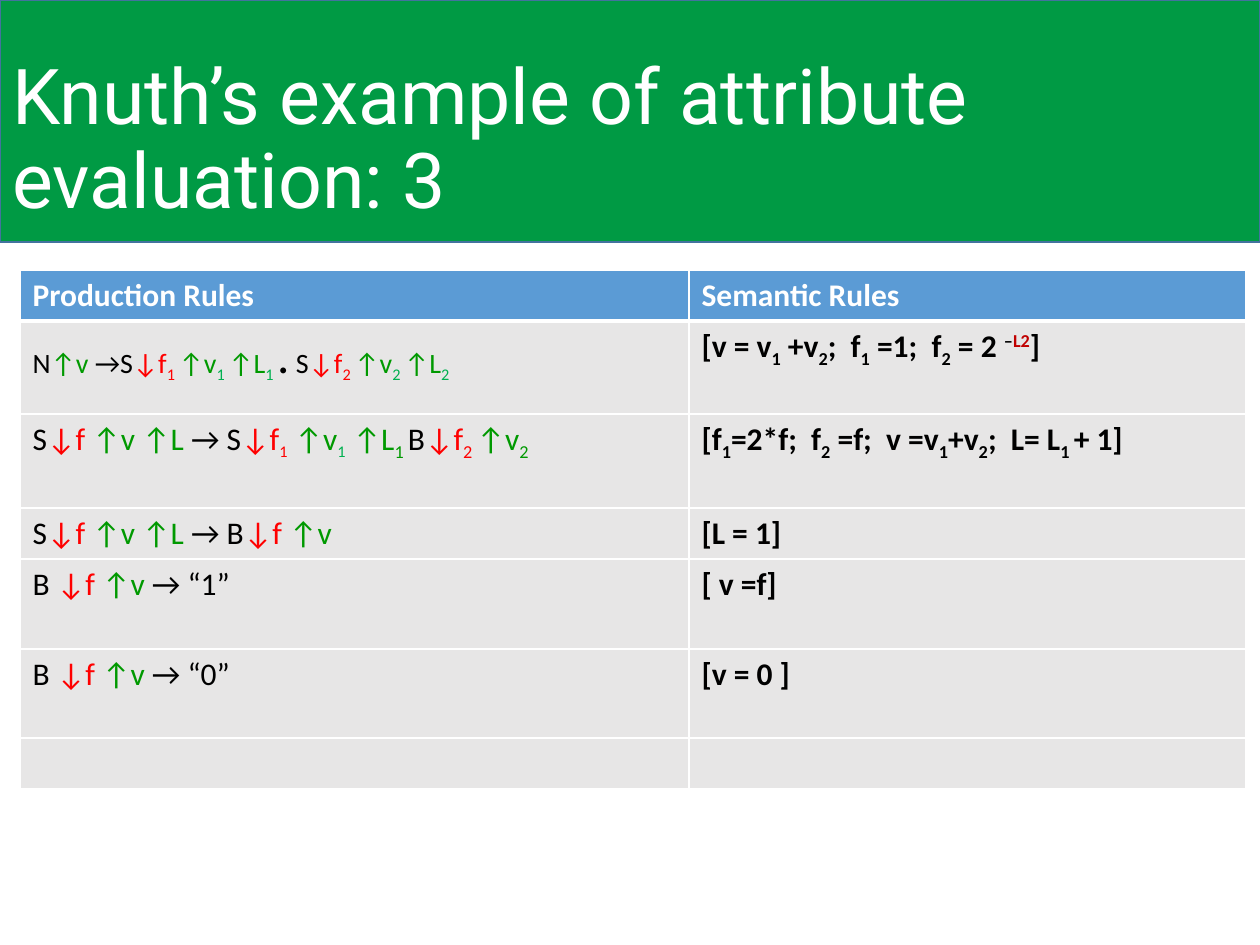
import pptx
import pptx.util
import pptx.dml.color
import pptx.enum.shapes
import pptx.enum.text
import pptx.oxml

TITLE = "Knuth’s example of attribute evaluation: 3"
HEADS = ("Production Rules", "Semantic Rules")
ROWS = [
    ("small",
     "k:N|g:↑v|k: →S|r:↓f|r_:1 |g:↑v|e_:1 |g:↑L|e_:1 |kx:.|g: |k:S|r:↓f|r_:2 |g:↑v|e_:2 |g:↑L|e_:2",
     "k:[v = v|k_:1|k: +v|k_:2|k:;  f|k_:1|k: =1;  f|k_:2|k: = 2 |k^:–|c^:L2|k:]"),
    ("body",
     "k:S|r:↓f |g:↑v ↑L |k:→ S|r:↓f|rs_:1|r: |g:↑v|es_:1|k: |g:↑L|g_:1 |k:B|r:↓f|r_:2 |g:↑v|g_:2",
     "k:[f|k_:1|k:=2*f;  f|k_:2|k: =f;  v =v|k_:1|k:+v|k_:2|k:;  L= L|k_:1 |k:+ 1]"),
    ("body", "k:S|r:↓f |g:↑v ↑L |k:→ B|r:↓f |g:↑v", "k:[L = 1]"),
    ("body", "k:B|r: ↓f |g:↑v |k:→ “1”", "k:[ v =f]"),
    ("body", "k:B|r: ↓f |g:↑v |k:→ “0”", "k:[v = 0 ]"),
    ("body", "", ""),
]
COLS = (669, 557)
HIGHS = (51, 93, 94, 51, 90, 89, 51)
THEME = {
    "k": "000000", "g": "009900", "r": "FF0000", "e": "00B050", "c": "C00000",
    "white": "FFFFFF", "banner": "009A44", "edge": "43739E",
    "head": "5B9BD5", "cell": "E7E6E6",
    "title": 44, "body": 18, "small": 16, "dot": 28,
    "font": "Calibri", "face": "Roboto",
}
SIZES = {"s": "small", "x": "dot"}
SHIFTS = {"_": "-25000", "^": "30000"}


def px(n):
    return pptx.util.Emu(round(n * 914400 / 126))


def color(key):
    return pptx.dml.color.RGBColor.from_string(THEME[key])


def style(font, size, face="font", tint=None, bold=False):
    font.size = pptx.util.Pt(THEME[size])
    font.name = THEME[face]
    font.bold = bold
    if tint:
        font.color.rgb = color(tint)


def write(para, text):
    for part in filter(None, text.split("|")):
        code, _, words = part.partition(":")
        run = para.add_run()
        run.text = words
        run.font.color.rgb = color(code[0])
        for mark in code[1:]:
            if mark in SIZES:
                run.font.size = pptx.util.Pt(THEME[SIZES[mark]])
            else:
                run.font._element.set("baseline", SHIFTS[mark])


def border(cell, base):
    props = cell._tc.get_or_add_tcPr()
    for spot, side in enumerate("LRTB"):
        width = pptx.util.Pt(base if side == "B" else 1)
        props.insert(spot, pptx.oxml.parse_xml(
            '<a:ln%s xmlns:a="http://schemas.openxmlformats.org/drawingml/2006/main" w="%d">'
            '<a:solidFill><a:srgbClr val="%s"/></a:solidFill></a:ln%s>'
            % (side, width, THEME["white"], side)))


def paint(cell, key, base=1):
    cell.fill.solid()
    cell.fill.fore_color.rgb = color(key)
    border(cell, base)


def banner(slide):
    band = slide.shapes.add_shape(
        pptx.enum.shapes.MSO_SHAPE.RECTANGLE, 0, 0, px(1260), px(242))
    band.shadow.inherit = False
    band.fill.solid()
    band.fill.fore_color.rgb = color("banner")
    band.line.color.rgb = color("edge")
    band.line.width = pptx.util.Pt(1)
    box = slide.shapes.add_textbox(0, px(50), px(1173), px(183))
    frame = box.text_frame
    frame.word_wrap = True
    frame.vertical_anchor = pptx.enum.text.MSO_ANCHOR.MIDDLE
    para = frame.paragraphs[0]
    para.text = TITLE
    para.line_spacing = 0.9
    style(para.font, "title", "face", "white")


def rules(slide):
    table = slide.shapes.add_table(
        len(HIGHS), len(COLS), px(20), px(270), px(sum(COLS)), px(sum(HIGHS))).table
    for col, wide in zip(table.columns, COLS):
        col.width = px(wide)
    for row, high in zip(table.rows, HIGHS):
        row.height = px(high)
    for spot, head in enumerate(HEADS):
        cell = table.cell(0, spot)
        paint(cell, "head", 3)
        para = cell.text_frame.paragraphs[0]
        para.text = head
        style(para.font, "body", tint="white", bold=True)
    for line, (size, left, right) in enumerate(ROWS, 1):
        for spot, text in enumerate((left, right)):
            cell = table.cell(line, spot)
            paint(cell, "cell")
            para = cell.text_frame.paragraphs[0]
            style(para.font, "body" if spot else size, bold=bool(spot))
            write(para, text)


def main():
    deck = pptx.Presentation()
    deck.slide_width, deck.slide_height = px(1260), px(945)
    slide = deck.slides.add_slide(deck.slide_layouts[6])
    banner(slide)
    rules(slide)
    deck.save("out.pptx")


if __name__ == "__main__":
    main()
